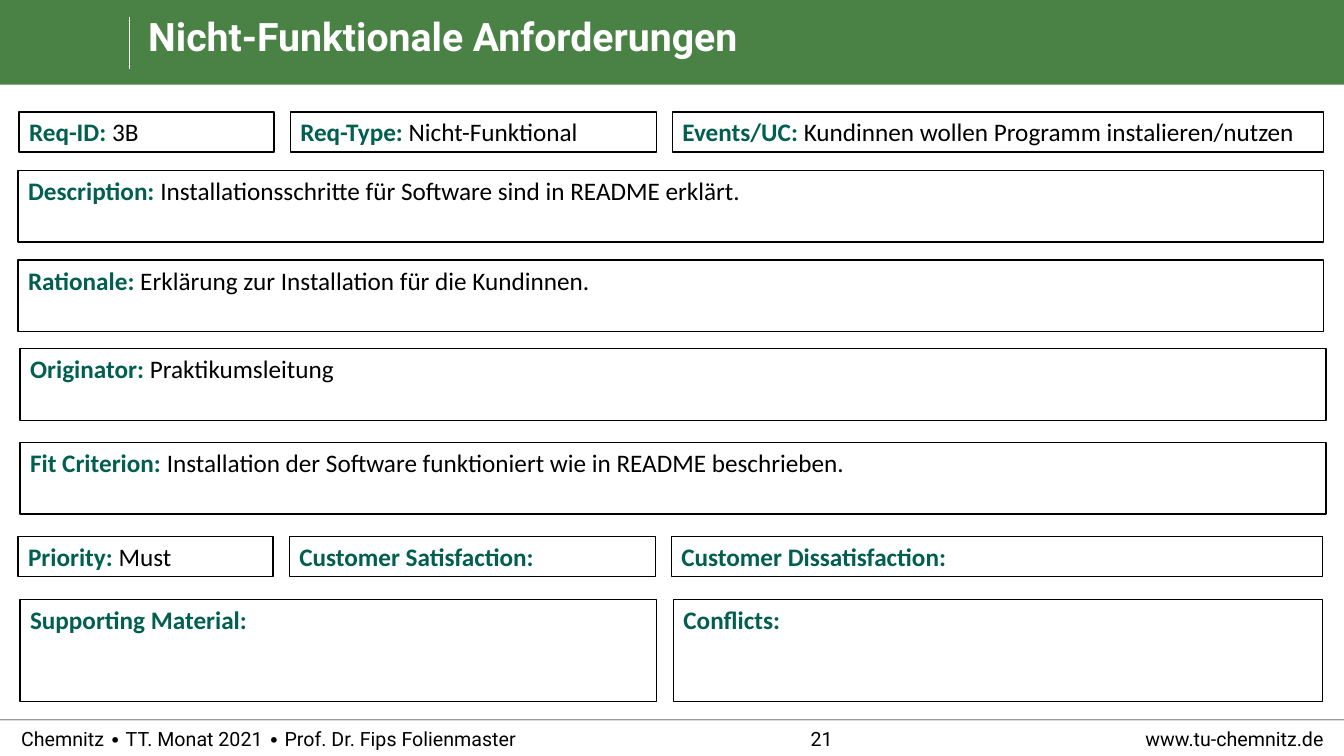
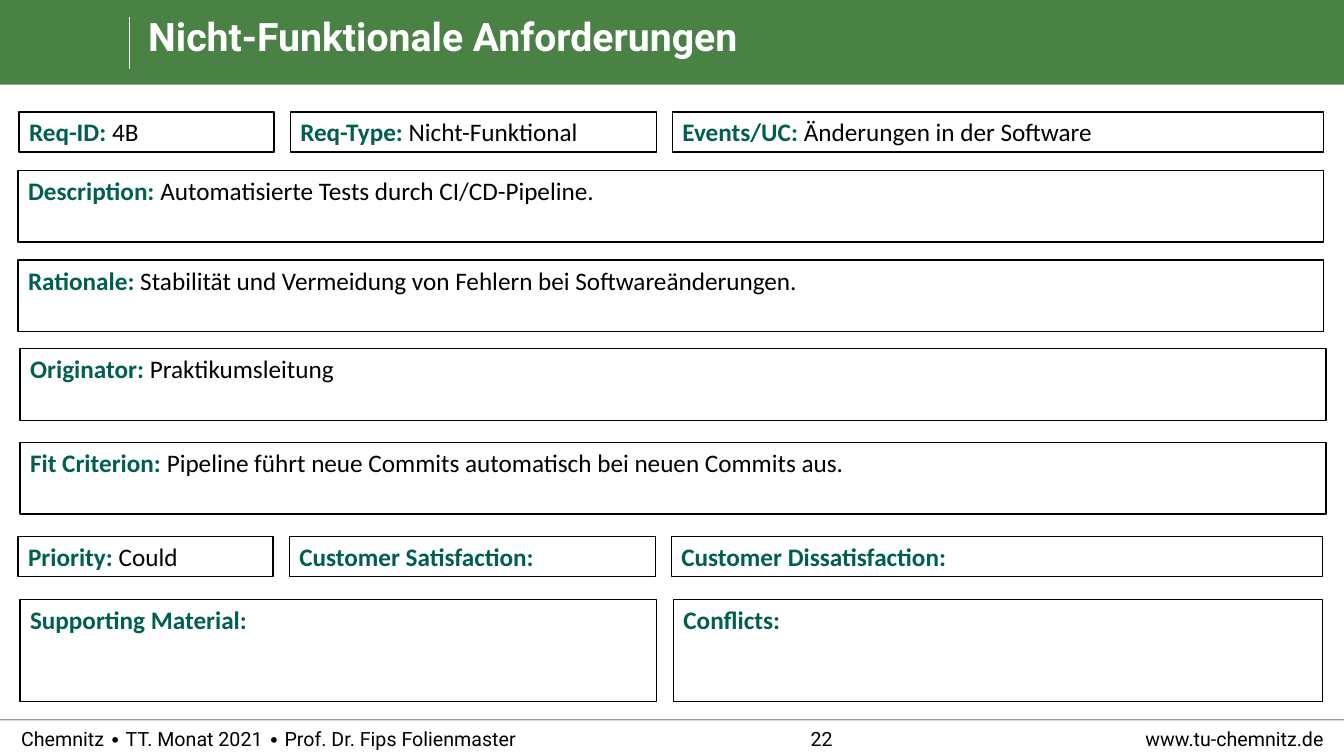
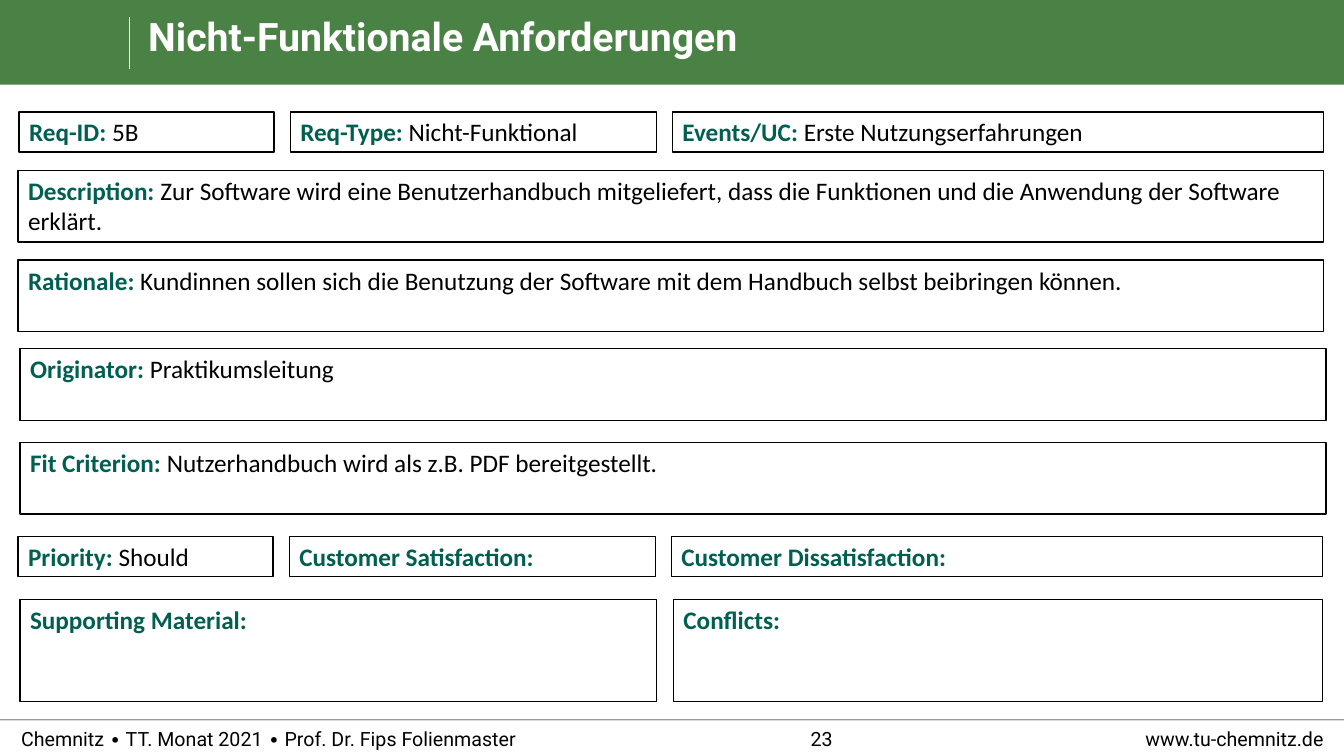
"""Build the slides for the non-functional requirement cards."""
from dataclasses import dataclass

from lxml.etree import SubElement
from pptx import Presentation
from pptx.dml.color import RGBColor
from pptx.enum.shapes import MSO_CONNECTOR, MSO_SHAPE
from pptx.enum.text import MSO_ANCHOR, MSO_AUTO_SIZE, PP_ALIGN
from pptx.oxml.ns import qn
from pptx.shapes.autoshape import Shape
from pptx.slide import Slide
from pptx.text.text import TextFrame, _Paragraph
from pptx.util import Inches, Pt

COLORS = {
    "band": "4A8246",
    "label": "005F50",
    "text": "000000",
    "background": "FFFFFF",
}
HEADING_FONT = "Roboto"
CARD_FONT = "Calibri"
SLIDE_WIDTH = 13.33
FIRST_PAGE = 21
TITLE = "Nicht-Funktionale Anforderungen"


@dataclass(frozen=True)
class CardRow:
    """A row of boxes, placed from left to right with equal gaps."""

    left: float
    top: float
    height: float
    widths: tuple[float, ...]
    labels: tuple[str, ...]
    gap: float = 0.16


@dataclass(frozen=True)
class FooterText:
    """One text in the footer."""

    text: str
    left: float
    width: float
    alignment: PP_ALIGN


THREE_COLUMNS = (2.53, 3.63, 6.46)
FULL_WIDTH = (12.95,)
CARD_ROWS = (
    CardRow(0.19, 1.11, 0.4, THREE_COLUMNS, ("Req-ID", "Req-Type", "Events/UC")),
    CardRow(0.18, 1.69, 0.71, FULL_WIDTH, ("Description",)),
    CardRow(0.18, 2.58, 0.71, FULL_WIDTH, ("Rationale",)),
    CardRow(0.2, 3.46, 0.71, FULL_WIDTH, ("Originator",)),
    CardRow(0.2, 4.39, 0.71, FULL_WIDTH, ("Fit Criterion",)),
    CardRow(0.18, 5.32, 0.4, THREE_COLUMNS,
            ("Priority", "Customer Satisfaction", "Customer Dissatisfaction")),
    CardRow(0.2, 5.95, 1.01, (6.31, 6.44), ("Supporting Material", "Conflicts"), 0.17),
)
SHARED_VALUES = {"Req-Type": "Nicht-Funktional", "Originator": "Praktikumsleitung"}
REQUIREMENTS = (
    {
        "Req-ID": "3B",
        "Events/UC": "Kundinnen wollen Programm instalieren/nutzen",
        "Description": "Installationsschritte für Software sind in README erklärt.",
        "Rationale": "Erklärung zur Installation für die Kundinnen.",
        "Fit Criterion": "Installation der Software funktioniert wie in README beschrieben.",
        "Priority": "Must",
    },
    {
        "Req-ID": "4B",
        "Events/UC": "Änderungen in der Software",
        "Description": "Automatisierte Tests durch CI/CD-Pipeline.",
        "Rationale": "Stabilität und Vermeidung von Fehlern bei Softwareänderungen.",
        "Fit Criterion": "Pipeline führt neue Commits automatisch bei neuen Commits aus.",
        "Priority": "Could",
    },
    {
        "Req-ID": "5B",
        "Events/UC": "Erste Nutzungserfahrungen",
        "Description": "Zur Software wird eine Benutzerhandbuch mitgeliefert, dass die "
                       "Funktionen und die Anwendung der Software erklärt.",
        "Rationale": "Kundinnen sollen sich die Benutzung der Software mit dem Handbuch "
                     "selbst beibringen können.",
        "Fit Criterion": "Nutzerhandbuch wird als z.B. PDF bereitgestellt.",
        "Priority": "Should",
    },
)


def color(name: str) -> RGBColor:
    """Return a palette colour."""
    return RGBColor.from_string(COLORS[name])


def add_text(paragraph: _Paragraph, text: str, *, size: float, font: str = HEADING_FONT,
             color_name: str = "text", bold: bool = False) -> None:
    """Append a formatted run to a paragraph."""
    run = paragraph.add_run()
    run.text = text
    run.font.size = Pt(size)
    run.font.name = font
    run.font.bold = bold
    run.font.color.rgb = color(color_name)


def prepare_frame(frame: TextFrame, anchor: MSO_ANCHOR, *, margins: bool = False) -> _Paragraph:
    """Set up a text frame and return its first paragraph."""
    frame.word_wrap = True
    frame.auto_size = MSO_AUTO_SIZE.NONE
    frame.vertical_anchor = anchor
    if not margins:
        frame.margin_left = frame.margin_right = Inches(0)
        frame.margin_top = frame.margin_bottom = Inches(0)
    paragraph = frame.paragraphs[0]
    paragraph.alignment = PP_ALIGN.LEFT
    return paragraph


def add_rectangle(slide: Slide, left: float, top: float, width: float, height: float,
                  fill: str, outline: str | None = None) -> Shape:
    """Draw a flat rectangle."""
    rectangle = slide.shapes.add_shape(
        MSO_SHAPE.RECTANGLE, Inches(left), Inches(top), Inches(width), Inches(height))
    rectangle.shadow.inherit = False
    rectangle.fill.solid()
    rectangle.fill.fore_color.rgb = color(fill)
    if outline:
        rectangle.line.color.rgb = color(outline)
        rectangle.line.width = Pt(1)
    else:
        rectangle.line.fill.background()
    return rectangle


def add_line(slide: Slide, start: tuple[float, float], end: tuple[float, float],
             color_name: str, width: float, opacity: int = 100) -> None:
    """Draw a straight line with an opacity in percent."""
    line = slide.shapes.add_connector(
        MSO_CONNECTOR.STRAIGHT, *(Inches(value) for value in start + end))
    line.line.color.rgb = color(color_name)
    line.line.width = Pt(width)
    properties = line.element.spPr
    if opacity < 100:
        fill_color = next(properties.iter(qn("a:srgbClr")))
        SubElement(fill_color, qn("a:alpha")).set("val", str(opacity * 1000))
    SubElement(properties, qn("a:effectLst"))


def add_header(slide: Slide) -> None:
    """Draw the band and divider and format the title."""
    title = slide.shapes.title
    band = add_rectangle(slide, 0, 0, SLIDE_WIDTH, 0.84, "band")
    title.element.addprevious(band.element)
    add_line(slide, (1.28, 0.17), (1.28, 0.68), "background", 0.5)
    title.left, title.top = Inches(1.47), Inches(0.17)
    title.width, title.height = Inches(11.65), Inches(0.51)
    paragraph = prepare_frame(title.text_frame, MSO_ANCHOR.TOP)
    paragraph.line_spacing = 0.9
    add_text(paragraph, TITLE, size=28, color_name="background", bold=True)


def add_footer(slide: Slide, page: int) -> None:
    """Draw the footer rule and its three texts."""
    add_line(slide, (0, 7.14), (SLIDE_WIDTH, 7.14), "text", 1, opacity=40)
    footer_texts = (
        FooterText("Chemnitz ∙ TT. Monat 2021 ∙ Prof. Dr. Fips Folienmaster",
                   0.21, 6.3, PP_ALIGN.LEFT),
        FooterText(str(page), 5.09, 6.12, PP_ALIGN.CENTER),
        FooterText("www.tu-chemnitz.de", 9.03, 4.1, PP_ALIGN.RIGHT),
    )
    for footer in footer_texts:
        box = slide.shapes.add_textbox(
            Inches(footer.left), Inches(7.14), Inches(footer.width), Inches(0.37))
        paragraph = prepare_frame(box.text_frame, MSO_ANCHOR.MIDDLE)
        paragraph.alignment = footer.alignment
        add_text(paragraph, footer.text, size=14)


def add_card_row(slide: Slide, row: CardRow, values: dict[str, str]) -> None:
    """Draw the labelled boxes of one row."""
    left = row.left
    for label, width in zip(row.labels, row.widths):
        box = add_rectangle(slide, left, row.top, width, row.height, "background", "text")
        paragraph = prepare_frame(box.text_frame, MSO_ANCHOR.TOP, margins=True)
        add_text(paragraph, f"{label}:", size=18, font=CARD_FONT,
                 color_name="label", bold=True)
        if label in values:
            add_text(paragraph, f" {values[label]}", size=18, font=CARD_FONT)
        left += width + row.gap


def main() -> None:
    """Build and save the presentation."""
    presentation = Presentation()
    presentation.slide_width = Inches(SLIDE_WIDTH)
    presentation.slide_height = Inches(7.5)
    title_only = presentation.slide_layouts[5]
    for page, requirement in enumerate(REQUIREMENTS, start=FIRST_PAGE):
        slide = presentation.slides.add_slide(title_only)
        add_header(slide)
        add_footer(slide, page)
        for row in CARD_ROWS:
            add_card_row(slide, row, SHARED_VALUES | requirement)
    presentation.save("out.pptx")


if __name__ == "__main__":
    main()
